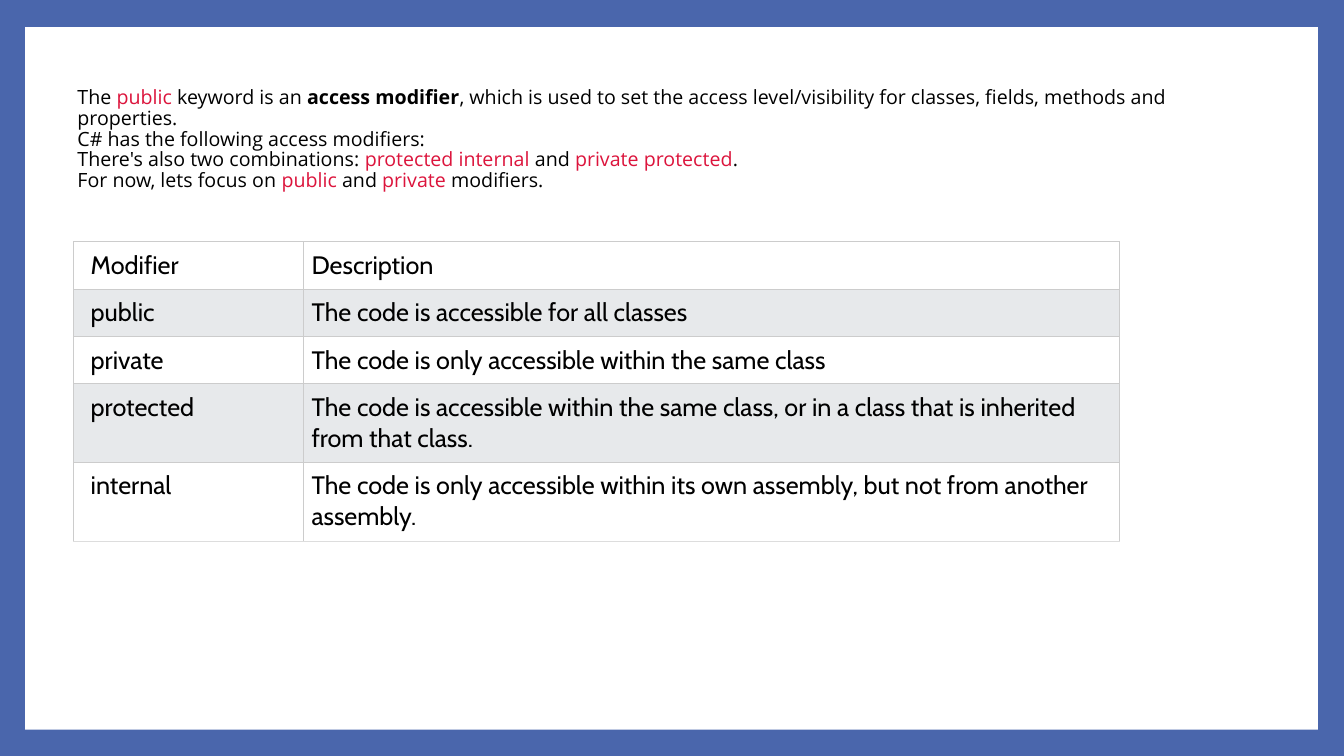
from lxml.etree import SubElement
from pptx import Presentation
from pptx.dml.color import RGBColor
from pptx.enum.shapes import MSO_SHAPE
from pptx.enum.text import MSO_ANCHOR
from pptx.oxml.ns import qn
from pptx.util import Inches, Pt

WIDTH, HEIGHT = Inches(13.33), Inches(7.5)
COLORS = {"frame": "4A66AC", "panel": "FFFFFF", "band": "E7E9EB", "text": "000000",
          "keyword": "DC143C", "border": "CCCCCC", "bottom": "DDDDDD"}
COLUMN_WIDTHS = (2.28, 8.09)
ONE_LINE, TWO_LINES = 0.47, 0.78
NBSP = "\u00a0"

# Each paragraph is a list of (text, style) spans.
INTRO = [
    [("The" + NBSP, "plain"), ("public", "keyword"),
     (f"{NBSP}keyword is an{NBSP}", "plain"), ("access modifier", "strong"),
     (", which is used to set the access level/visibility for classes, fields, "
      "methods and properties.", "plain")],
    [("C# has the following access modifiers:", "plain")],
    [("There's also two combinations:" + NBSP, "plain"),
     ("protected internal", "keyword"), (f"{NBSP}and{NBSP}", "plain"),
     ("private protected", "keyword"), (".", "plain")],
    [("For now, lets focus on" + NBSP, "plain"), ("public", "keyword"),
     (f"{NBSP}and{NBSP}", "plain"), ("private", "keyword"),
     (NBSP + "modifiers.", "plain")],
]
MODIFIERS = [
    ("Modifier", "Description", ONE_LINE),
    ("public", "The code is accessible for all classes", ONE_LINE),
    ("private", "The code is only accessible within the same class", ONE_LINE),
    ("protected", "The code is accessible within the same class, or in a class "
     "that is inherited from that class.", TWO_LINES),
    ("internal", "The code is only accessible within its own assembly, but not "
     "from another assembly.", TWO_LINES),
]


def color(name):
    """Return a named colour."""
    return RGBColor.from_string(COLORS[name])


def paint(target, name):
    """Give a shape, cell or background a solid fill."""
    target.fill.solid()
    target.fill.fore_color.rgb = color(name)


def assign(target, values):
    """Set every attribute in a dict of format values."""
    for name, value in values.items():
        setattr(target, name, value)


def add_span(para, text, face, size, style="plain"):
    """Add one formatted run to a paragraph."""
    span = para.add_run()
    span.text = text
    assign(span.font, {"name": face, "size": Pt(size), "bold": style == "strong"})
    span.font.color.rgb = color("keyword" if style == "keyword" else "text")


def add_panel(page):
    """Draw the white panel that leaves the blue frame visible."""
    panel = page.shapes.add_shape(MSO_SHAPE.RECTANGLE, Inches(0.25), Inches(0.27),
                                  Inches(12.82), Inches(6.97))
    paint(panel, "panel")
    panel.line.fill.background()
    panel.shadow.inherit = False


def add_intro(page):
    """Write the paragraphs above the table."""
    box = page.shapes.add_textbox(Inches(0.67), Inches(0.87), Inches(11.5), Inches(1.04))
    paint(box, "panel")
    frame = box.text_frame
    assign(frame, {"word_wrap": True, "vertical_anchor": MSO_ANCHOR.MIDDLE,
                   "margin_top": 0, "margin_bottom": 0})
    for index, spans in enumerate(INTRO):
        para = frame.add_paragraph() if index else frame.paragraphs[0]
        para.line_spacing = 0.88
        for text, style in spans:
            add_span(para, text, "Open Sans", 14, style)


def add_borders(cell, bottom):
    """Line the four sides of a cell; the lines must precede its fill."""
    properties = cell._tc.get_or_add_tcPr()
    for index, side in enumerate(("lnL", "lnR", "lnT", "lnB")):
        line = SubElement(properties, qn("a:" + side), w=str(Pt(0.75)))
        fill = SubElement(line, qn("a:solidFill"))
        name = bottom if side == "lnB" else "border"
        SubElement(fill, qn("a:srgbClr"), val=COLORS[name])
        properties.insert(index, line)


def add_modifier_table(page):
    """Build the banded table of modifiers."""
    table = page.shapes.add_table(
        len(MODIFIERS), len(COLUMN_WIDTHS), Inches(0.73), Inches(2.4),
        Inches(sum(COLUMN_WIDTHS)), Inches(sum(row[-1] for row in MODIFIERS))).table
    assign(table, {"first_row": False, "horz_banding": False})
    for column, width in zip(table.columns, COLUMN_WIDTHS):
        column.width = Inches(width)
    for row_index, (*texts, height) in enumerate(MODIFIERS):
        table.rows[row_index].height = Inches(height)
        last = row_index == len(MODIFIERS) - 1
        for column_index, text in enumerate(texts):
            cell = table.cell(row_index, column_index)
            paint(cell, "band" if row_index % 2 else "panel")
            assign(cell, {"margin_left": Inches(0.08 if column_index else 0.17),
                          "margin_right": Inches(0.08), "margin_top": Inches(0.08),
                          "margin_bottom": Inches(0.08)})
            add_span(cell.text_frame.paragraphs[0], text, "Cabin", 18)
            add_borders(cell, "bottom" if last else "border")


def main():
    """Build and save the slide."""
    deck = Presentation()
    assign(deck, {"slide_width": WIDTH, "slide_height": HEIGHT})
    page = deck.slides.add_slide(deck.slide_layouts[6])
    paint(page.background, "frame")
    add_panel(page)
    add_modifier_table(page)
    add_intro(page)
    deck.save("out.pptx")


main()
